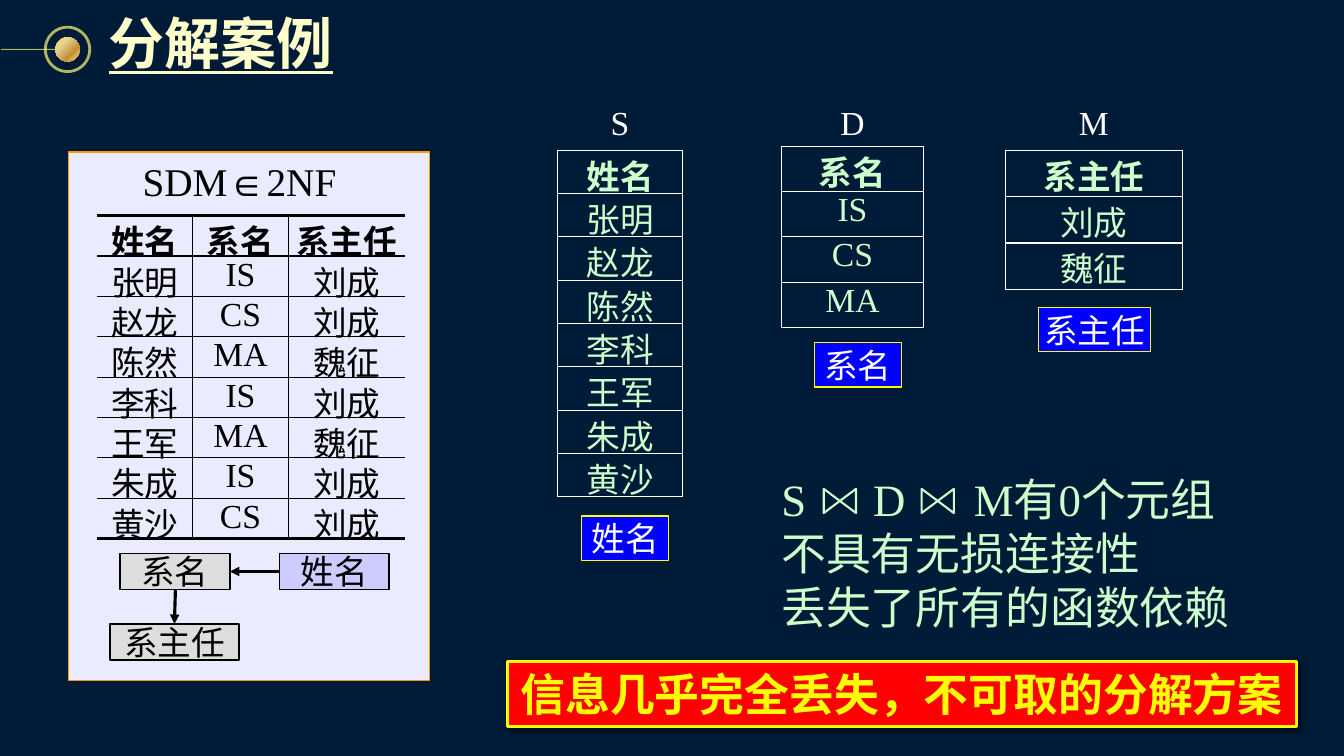
"""Builds the slide on decomposing the SDM relation into S, D and M."""
from pptx import Presentation
from pptx import util as u
from pptx.dml.color import RGBColor
from pptx.enum import shapes, text
from pptx.oxml import parse_xml
from pptx.oxml.ns import nsdecls, qn

NAVY = RGBColor(0x00, 0x1B, 0x37)
CREAM = RGBColor(0xFF, 0xFF, 0xCC)
MINT = RGBColor(0xCC, 0xFF, 0xCC)
WHITE = RGBColor(0xFF, 0xFF, 0xFF)
BLACK = RGBColor(0x00, 0x00, 0x00)
BLUE = RGBColor(0x00, 0x00, 0xFF)
YELLOW = RGBColor(0xFF, 0xFF, 0x00)
RED = RGBColor(0xFF, 0x00, 0x00)
ORANGE = RGBColor(0xFF, 0x99, 0x00)
PANEL = RGBColor(0xEB, 0xEB, 0xFF)
LILAC = RGBColor(0xCC, 0xCC, 0xFF)
GREY = RGBColor(0xDD, 0xDD, 0xDD)
RING = RGBColor(0xFC, 0xF8, 0x73)
GOLD = [(0, "FCD860"), (31, "E6D38F"), (68, "C69135"), (100, "F1DF97")]
SERIF, SANS, CJK = "Times New Roman", "Arial", "Noto Sans CJK SC"
CENTER, LEFT = text.PP_ALIGN.CENTER, text.PP_ALIGN.LEFT
MIDDLE, TOP = text.MSO_ANCHOR.MIDDLE, text.MSO_ANCHOR.TOP


def xml(tag, body="", attrs=""):
    return parse_xml(f"<a:{tag} {nsdecls('a')} {attrs}>{body}</a:{tag}>")


def write(frame, lines, size=24, color=BLACK, font=SERIF, bold=False, underline=False,
          align=CENTER, anchor=TOP, inset=0, wrap=True, tabs=()):
    frame.word_wrap = wrap
    frame.vertical_anchor = anchor
    frame.margin_left = frame.margin_right = u.Inches(inset)
    frame.margin_top = frame.margin_bottom = u.Inches(inset)
    for index, line in enumerate(lines.split("\n")):
        paragraph = frame.add_paragraph() if index else frame.paragraphs[0]
        paragraph.alignment = align
        if tabs:
            stops = "".join(f'<a:tab pos="{u.Inches(tab)}" algn="l"/>' for tab in tabs)
            paragraph._p.get_or_add_pPr().append(xml("tabLst", stops))
        run = paragraph.add_run()
        run.text = line
        run.font.name, run.font.size = font, u.Pt(size)
        run.font.bold, run.font.underline = bold, underline
        run.font.color.rgb = color


class Deck:
    def __init__(self):
        self.show = Presentation()
        self.show.slide_width, self.show.slide_height = u.Inches(13.33), u.Inches(7.5)
        self.slide = self.show.slides.add_slide(self.show.slide_layouts[6])
        self.slide.background.fill.solid()
        self.slide.background.fill.fore_color.rgb = NAVY

    def outline(self, line, color, width, opacity=100):
        line.width = u.Pt(width)
        line.color.rgb = color
        if opacity < 100:
            tint = line._ln.find(".//" + qn("a:srgbClr"))
            tint.append(xml("alpha", attrs=f'val="{opacity * 1000}"'))

    def label(self, box, words, **style):
        area = self.slide.shapes.add_textbox(*map(u.Inches, box))
        write(area.text_frame, words, **style)

    def shape(self, box, fill=None, line=None, width=1, opacity=100, words="",
              kind=shapes.MSO_SHAPE.RECTANGLE, **style):
        item = self.slide.shapes.add_shape(kind, *map(u.Inches, box))
        item.shadow.inherit = False
        if fill is None:
            item.fill.background()
        else:
            item.fill.solid()
            item.fill.fore_color.rgb = fill
        if line is None:
            item.line.fill.background()
        else:
            self.outline(item.line, line, width, opacity)
        if words:
            write(item.text_frame, words, anchor=MIDDLE, **style)
        return item

    def line(self, start, end, color, width, opacity=100, arrow=False):
        link = self.slide.shapes.add_connector(
            shapes.MSO_CONNECTOR.STRAIGHT, *map(u.Inches, start + end))
        self.outline(link.line, color, width, opacity)
        if arrow:
            link.line._ln.append(xml("tailEnd", attrs='type="triangle"'))
        link._element.spPr.append(xml("effectLst"))

    def bow_tie(self, left, top, width=0.32, height=0.24):
        right, bottom = left + width, top + height
        corners = [(right, bottom), (right, top), (left, bottom)]
        builder = self.slide.shapes.build_freeform(
            u.Inches(left), u.Inches(top), scale=1.0)
        builder.add_line_segments([tuple(map(u.Inches, c)) for c in corners], close=True)
        sign = builder.convert_to_shape()
        sign.shadow.inherit = False
        sign.fill.background()
        self.outline(sign.line, MINT, 1.5)

    def table(self, left, top, widths, row_height, rows, color, edge, framed=True):
        box = (left, top, sum(widths), row_height * len(rows))
        grid = self.slide.shapes.add_table(
            len(rows), len(widths), *map(u.Inches, box)).table
        for column, width in zip(grid.columns, widths):
            column.width = u.Inches(width)
        for r, row in enumerate(rows):
            grid.rows[r].height = u.Inches(row_height)
            for c, words in enumerate(row):
                cell = grid.cell(r, c)
                write(cell.text_frame, words, color=color, bold=r == 0)
                cell.margin_left = cell.margin_right = 0
                cell.margin_top = cell.margin_bottom = 0
                outer = {"L": c == 0, "R": c == len(widths) - 1,
                         "T": r == 0, "B": r == len(rows) - 1}
                for side, on_rim in outer.items():
                    self.border(cell, side, edge, on_rim, framed)
                cell.fill.background()

    def border(self, cell, side, edge, on_rim, framed):
        heavy = on_rim and not framed
        paint = f'<a:solidFill><a:srgbClr val="{edge}"/></a:solidFill>'
        if heavy and side in "LR":
            paint = "<a:noFill/>"
        width = u.Pt(2.25 if heavy else 1)
        cell._tc.get_or_add_tcPr().append(xml("ln" + side, paint, f'w="{width}"'))


def main():
    deck = Deck()
    oval = shapes.MSO_SHAPE.OVAL
    deck.shape((0.45, 0.27, 0.44, 0.44), line=RING, width=2, opacity=70, kind=oval)
    deck.line((0.01, 0.49), (0.55, 0.49), RING, 0.75, opacity=70)
    bead = deck.shape((0.55, 0.37, 0.24, 0.24), kind=oval)
    stops = "".join(f'<a:gs pos="{at * 1000}"><a:srgbClr val="{tint}"/></a:gs>'
                    for at, tint in GOLD)
    no_fill = bead._element.spPr.find(qn("a:noFill"))
    no_fill.addprevious(xml("gradFill", f'<a:gsLst>{stops}</a:gsLst><a:lin ang="2700000"/>'))
    bead._element.spPr.remove(no_fill)
    deck.label((1, 0, 9.31, 0.83), "分解案例", size=40, font=SANS, color=CREAM, bold=True,
               underline=True, align=LEFT, anchor=MIDDLE, inset=0.08)

    relations = [
        ("S", 5.53, 1.49, 1.24, 0.43, "姓名 张明 赵龙 陈然 李科 王军 朱成 黄沙"),
        ("D", 7.75, 1.45, 1.41, 0.45, "系名 IS CS MA"),
        ("M", 9.97, 1.49, 1.76, 0.46, "系主任 刘成 魏征")]
    for name, left, top, width, height, column in relations:
        deck.label((left, 1.01, width, 0.4), name, color=WHITE)
        deck.table(left, top, [width], height, [[v] for v in column.split()], MINT, WHITE)
    for box, key in [((5.77, 5.12, 0.86, 0.44), "姓名"), ((8.08, 3.4, 0.86, 0.44), "系名"),
                     ((10.3, 3.05, 1.11, 0.44), "系主任")]:
        deck.shape(box, BLUE, YELLOW, words=key, color=WHITE, wrap=False)

    deck.shape((0.68, 1.51, 3.58, 5.24), PANEL, ORANGE)
    deck.label((1.32, 1.56, 2.11, 0.47), "SDM∈2NF", size=28)
    students = ["姓名 系名 系主任", "张明 IS 刘成", "赵龙 CS 刘成", "陈然 MA 魏征",
                "李科 IS 刘成", "王军 MA 魏征", "朱成 IS 刘成", "黄沙 CS 刘成"]
    deck.table(0.96, 2.14, [0.95, 0.95, 1.16], 0.4, [s.split() for s in students],
               BLACK, BLACK, framed=False)
    for box, fill, key in [((2.77, 5.49, 1.09, 0.36), LILAC, "姓名"),
                           ((1.19, 5.49, 1.09, 0.36), GREY, "系名"),
                           ((1.09, 6.19, 1.28, 0.36), GREY, "系主任")]:
        deck.shape(box, fill, BLACK, words=key, wrap=False)
    deck.line((2.77, 5.67), (2.28, 5.67), BLACK, 2.25, arrow=True)
    deck.line((1.74, 5.85), (1.73, 6.19), BLACK, 2.25, arrow=True)

    deck.label((7.75, 4.68, 4.67, 0.42), "S\tD\tM有0个元组\n不具有无损连接性\n丢失了所有的函数依赖",
               size=32, color=MINT, align=LEFT, tabs=(0.91, 1.91))
    for left in (8.17, 9.14):
        deck.bow_tie(left, 4.85)
    banner = deck.shape((5.03, 6.56, 7.83, 0.65), RED, YELLOW, 2.25, font=CJK, size=32,
                        words="信息几乎完全丢失，不可取的分解方案", color=YELLOW, bold=True)
    shade = '<a:srgbClr val="000000"><a:alpha val="40000"/></a:srgbClr>'
    banner._element.spPr.find(qn("a:effectLst")).append(xml(
        "outerShdw", shade, f'blurRad="{u.Pt(4)}" dist="{u.Pt(3)}" dir="2700000"'))
    deck.show.save("out.pptx")


if __name__ == "__main__":
    main()
